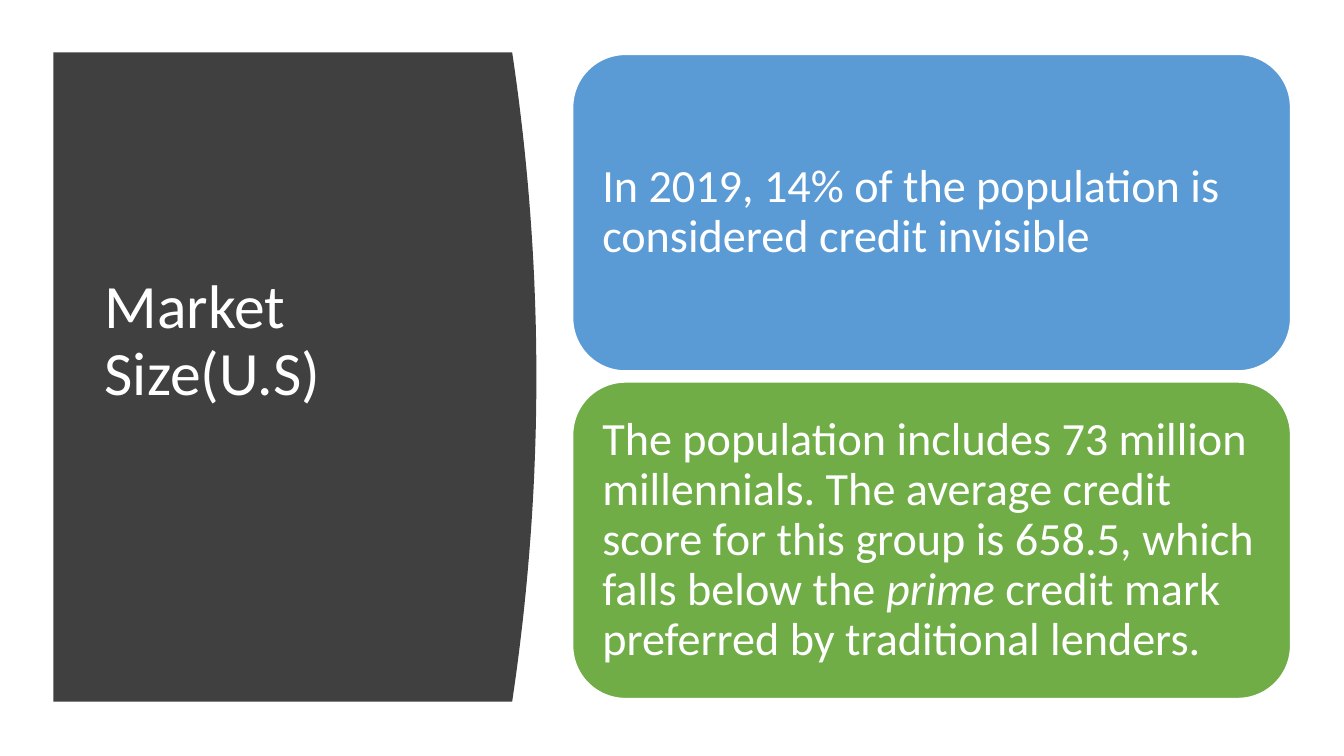
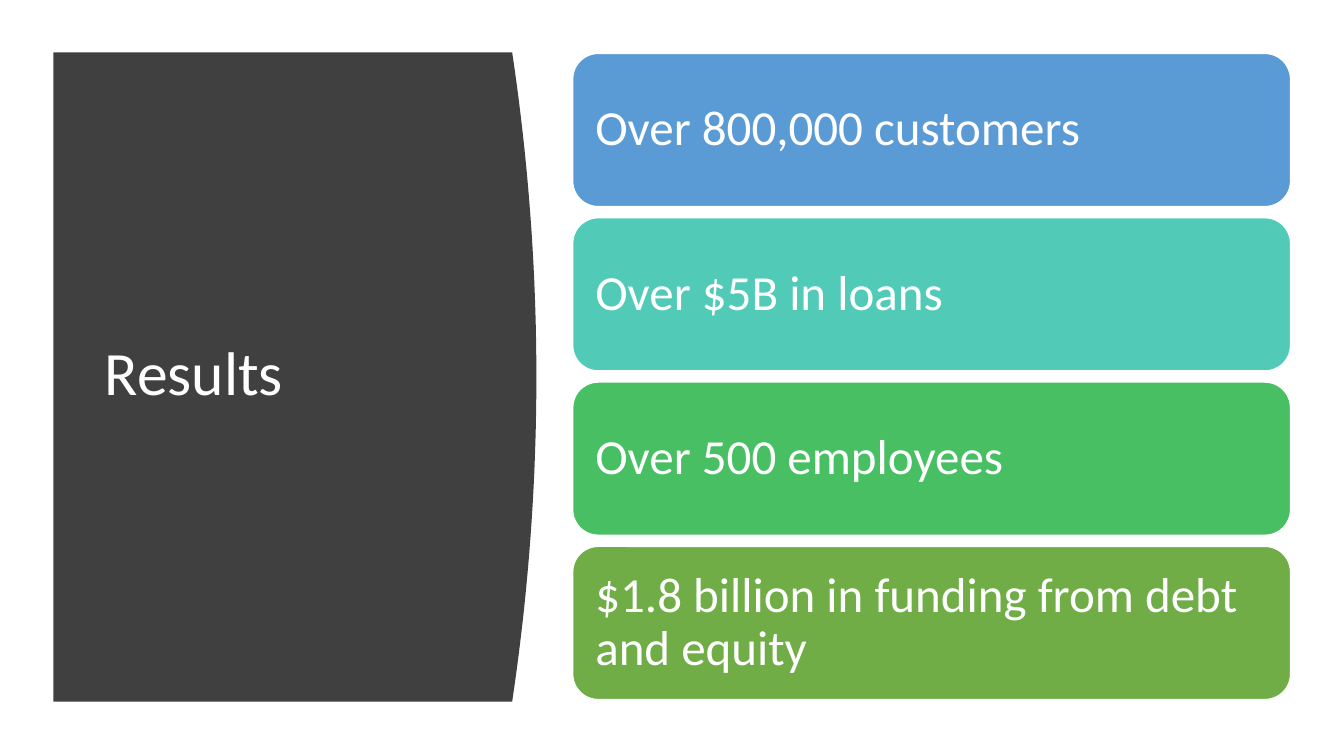
"""Build two slides that pair a curved title panel with a column of rounded cards."""
from dataclasses import dataclass
from typing import Any

from pptx import Presentation
from pptx.dml.color import RGBColor
from pptx.enum.shapes import MSO_SHAPE
from pptx.enum.text import MSO_ANCHOR, PP_ALIGN
from pptx.util import Inches, Pt


@dataclass(frozen=True)
class Theme:
    font: str = "Calibri"
    white: str = "FFFFFF"
    panel: str = "404040"
    blue: str = "5B9BD5"
    teal: str = "52CAB8"
    emerald: str = "49BF64"
    green: str = "70AD47"
    title_size: int = 44
    spacing: float = 0.9


@dataclass(frozen=True)
class Run:
    text: str
    italic: bool = False


@dataclass(frozen=True)
class Card:
    color: str
    runs: tuple[Run, ...]


@dataclass(frozen=True)
class CardSlide:
    title: str
    cards: tuple[Card, ...]
    card_height: float
    text_size: int
    inset: float
    title_bottom: float = 0.05


THEME = Theme()
PANEL_LEFT, PANEL_TOP, PANEL_BOTTOM = 0.53, 0.52, 6.96
PANEL_EDGE, PANEL_BULGE, CURVE_STEPS = 5.08, 0.24, 40
CARD_LEFT, CARD_WIDTH, CARD_GAP = 5.68, 7.12, 0.11
COLUMN_MIDDLE = 3.735

SLIDES = (
    CardSlide(
        "Market Size(U.S)",
        (
            Card(THEME.blue, (Run("In 2019, 14% of the population is considered credit invisible"),)),
            Card(THEME.green, (
                Run("The population includes 73 million millennials. The average credit score "
                    "for this group is 658.5, which falls below the "),
                Run("prime ", italic=True),
                Run("credit mark preferred by traditional lenders."),
            )),
        ),
        card_height=3.14, text_size=33, inset=0.14, title_bottom=0.72,
    ),
    CardSlide(
        "Results",
        (
            Card(THEME.blue, (Run("Over 800,000 customers"),)),
            Card(THEME.teal, (Run("Over $5B in loans"),)),
            Card(THEME.emerald, (Run("Over 500 employees"),)),
            Card(THEME.green, (Run("$1.8 billion in funding from debt and equity"),)),
        ),
        card_height=1.52, text_size=35, inset=0.15,
    ),
)


def apply(obj: Any, values: dict[str, Any]) -> None:
    """Set each named attribute on an object."""
    for name, value in values.items():
        setattr(obj, name, value)


def fill_shape(sp: Any, color: str) -> None:
    """Give a shape a flat fill without a shadow."""
    sp.shadow.inherit = False
    sp.fill.solid()
    sp.fill.fore_color.rgb = RGBColor.from_string(color)


def write_text(sp: Any, runs: tuple[Run, ...], size: int, insets: tuple[float, ...]) -> None:
    """Write white, left-aligned and vertically centred text."""
    tf = sp.text_frame
    sides = ("margin_left", "margin_top", "margin_right", "margin_bottom")
    apply(tf, {"word_wrap": True, "vertical_anchor": MSO_ANCHOR.MIDDLE})
    apply(tf, {side: Inches(inset) for side, inset in zip(sides, insets)})
    p = tf.paragraphs[0]
    apply(p, {"alignment": PP_ALIGN.LEFT, "line_spacing": THEME.spacing})
    for run in runs:
        r = p.add_run()
        r.text = run.text
        apply(r.font, {"name": THEME.font, "size": Pt(size), "italic": run.italic})
        r.font.color.rgb = RGBColor.from_string(THEME.white)


def draw_panel(s: Any) -> None:
    """Draw the dark panel with its bulging right edge."""
    points = []
    for step in range(CURVE_STEPS + 1):
        t = step / CURVE_STEPS
        x = PANEL_EDGE + PANEL_BULGE * (1 - (2 * t - 1) ** 2)
        y = PANEL_TOP + t * (PANEL_BOTTOM - PANEL_TOP)
        points.append((Inches(x), Inches(y)))
    points.append((Inches(PANEL_LEFT), Inches(PANEL_BOTTOM)))
    builder = s.shapes.build_freeform(Inches(PANEL_LEFT), Inches(PANEL_TOP))
    builder.add_line_segments(points, close=True)
    sp = builder.convert_to_shape()
    fill_shape(sp, THEME.panel)
    sp.line.fill.background()


def draw_title(s: Any, slide: CardSlide) -> None:
    """Place the title on the panel."""
    sp = s.shapes.add_textbox(Inches(0.94), Inches(1.11), Inches(3.74), Inches(5.24))
    write_text(sp, (Run(slide.title),), THEME.title_size, (0.1, 0.05, 0.1, slide.title_bottom))


def draw_cards(s: Any, slide: CardSlide) -> None:
    """Stack the cards evenly around the middle of the column."""
    pitch = slide.card_height + CARD_GAP
    top = COLUMN_MIDDLE - (len(slide.cards) * pitch - CARD_GAP) / 2
    for i, card in enumerate(slide.cards):
        sp = s.shapes.add_shape(
            MSO_SHAPE.ROUNDED_RECTANGLE, Inches(CARD_LEFT), Inches(top + i * pitch),
            Inches(CARD_WIDTH), Inches(slide.card_height),
        )
        fill_shape(sp, card.color)
        sp.line.color.rgb = RGBColor.from_string(THEME.white)
        sp.line.width = Pt(1)
        write_text(sp, card.runs, slide.text_size, (slide.inset,) * 4)


def main() -> None:
    """Build and save the presentation."""
    prs = Presentation()
    apply(prs, {"slide_width": Inches(13.33), "slide_height": Inches(7.5)})
    for slide in SLIDES:
        s = prs.slides.add_slide(prs.slide_layouts[6])
        draw_panel(s)
        draw_title(s, slide)
        draw_cards(s, slide)
    prs.save("out.pptx")


if __name__ == "__main__":
    main()
